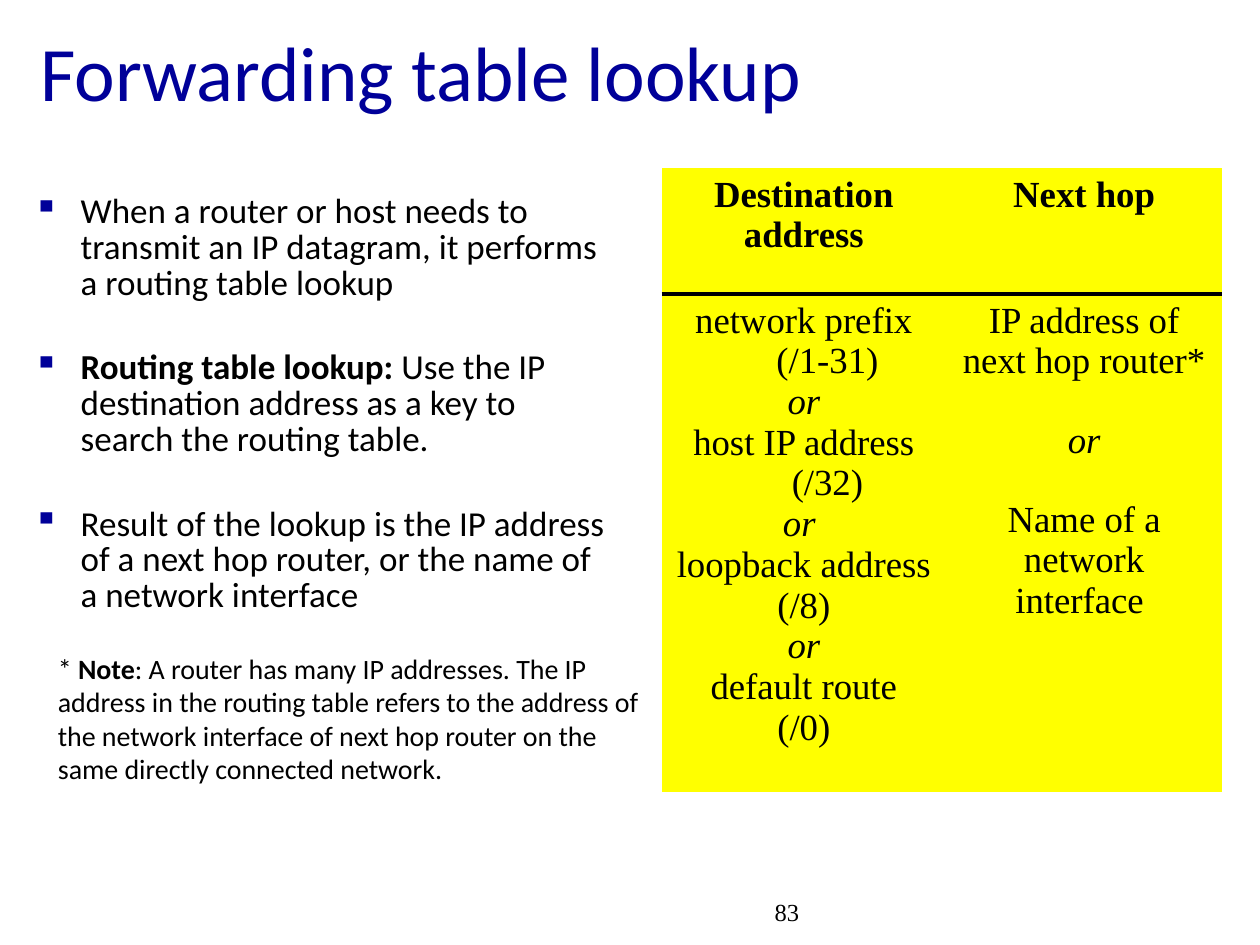
import pptx
import pptx.dml.color
import pptx.enum.text
import pptx.oxml
import pptx.oxml.ns
import pptx.util
from pptx.util import Pt

NAVY, BLACK, YELLOW = "000099", "000000", "FFFF00"
SANS, SERIF = "Calibri", "Times New Roman"
HANGING = 27
PLAIN_TABLE_STYLE = "{2D5ABB26-0587-4C30-8999-92F81FD0307C}"

BULLETS = [
    [("When a router or host needs to transmit an IP datagram, it performs "
      "a routing table lookup", False)],
    [("Routing table lookup:", True),
     (" Use the IP destination address as a key to search the routing table.", False)],
    [("Result of the lookup is the IP address of a next hop router, or the name "
      "of a network interface", False)],
]
NOTE = [
    ("* ", False),
    ("Note", True),
    (": A router has many IP addresses. The IP address in the routing table refers "
     "to the address of the network interface of next hop router on the same "
     "directly connected network.", False),
]
DESTINATIONS = ["network prefix (/1-31)", "or", "host IP address (/32)", "or ",
                "loopback address", "(/8)", "or", "default route", "(/0)"]
NEXT_HOPS = ["IP address of next hop router*", "or", "Name of a network interface "]


def color(hex_string):
    return pptx.dml.color.RGBColor.from_string(hex_string)


def set_font(paragraph, name, size, hex_string=BLACK):
    font = paragraph.font
    font.name, font.size = name, Pt(size)
    font.color.rgb = color(hex_string)


def set_indent(paragraph):
    """Hang the first line to the left of the others."""
    properties = paragraph._p.get_or_add_pPr()
    properties.set("marL", str(Pt(HANGING)))
    properties.set("indent", str(-Pt(HANGING)))
    return properties


def set_bullet(paragraph):
    namespace = pptx.oxml.ns.nsdecls("a")
    properties = set_indent(paragraph)
    properties.append(pptx.oxml.parse_xml(
        f'<a:buClr {namespace}><a:srgbClr val="{NAVY}"/></a:buClr>'))
    properties.append(pptx.oxml.parse_xml(f'<a:buChar {namespace} char="▪"/>'))


def add_runs(paragraph, runs):
    for text, bold in runs:
        run = paragraph.add_run()
        run.text = text
        if bold:
            run.font.bold = True


def add_text_frame(slide, left, top, width, height):
    box = slide.shapes.add_textbox(Pt(left), Pt(top), Pt(width), Pt(height))
    box.text_frame.word_wrap = True
    return box.text_frame


def add_line(slide, bounds, runs, name, size, hex_string=BLACK):
    """Add a text box of one paragraph."""
    frame = add_text_frame(slide, *bounds)
    paragraph = frame.paragraphs[0]
    add_runs(paragraph, runs)
    set_font(paragraph, name, size, hex_string)
    return frame


def add_bullets(slide, bounds, items):
    frame = add_text_frame(slide, *bounds)
    for index, runs in enumerate(items):
        paragraph = frame.add_paragraph() if index else frame.paragraphs[0]
        set_bullet(paragraph)
        paragraph.line_spacing = 0.85
        if index:
            paragraph.space_before = Pt(28)
        add_runs(paragraph, runs)
        set_font(paragraph, SANS, 20)


def fill_cell(cell, lines, bold=False, hanging=False, gap=0):
    cell.fill.solid()
    cell.fill.fore_color.rgb = color(YELLOW)
    frame = cell.text_frame
    for index, text in enumerate(lines):
        paragraph = frame.add_paragraph() if index else frame.paragraphs[0]
        paragraph.text = text
        paragraph.alignment = pptx.enum.text.PP_ALIGN.CENTER
        if hanging:
            set_indent(paragraph)
        if index and gap:
            paragraph.space_before = Pt(gap)
        set_font(paragraph, SERIF, 21)
        paragraph.font.bold = bold
        paragraph.font.italic = text.strip() == "or"


def set_border(cell, side):
    cell._tc.get_or_add_tcPr().insert(0, pptx.oxml.parse_xml(
        f'<a:ln{side} {pptx.oxml.ns.nsdecls("a")} w="{Pt(2)}"><a:solidFill>'
        f'<a:srgbClr val="{BLACK}"/></a:solidFill></a:ln{side}>'))


def add_forwarding_table(slide):
    frame = slide.shapes.add_table(2, 2, Pt(378), Pt(96), Pt(320.4), Pt(356.4))
    table = frame.table
    table.first_row = table.horz_banding = False
    style = table._tbl.tblPr.find(pptx.oxml.ns.qn("a:tableStyleId"))
    style.text = PLAIN_TABLE_STYLE
    for column, width in zip(table.columns, (162.7, 157.7)):
        column.width = Pt(width)
    for row, height in zip(table.rows, (72, 284.4)):
        row.height = Pt(height)
    fill_cell(table.cell(0, 0), ["Destination address"], bold=True)
    fill_cell(table.cell(0, 1), ["Next hop"], bold=True, hanging=True)
    fill_cell(table.cell(1, 0), DESTINATIONS, hanging=True)
    fill_cell(table.cell(1, 1), NEXT_HOPS, gap=22)
    for column in range(2):
        set_border(table.cell(0, column), "B")
        set_border(table.cell(1, column), "T")


def main():
    presentation = pptx.Presentation()
    presentation.slide_width, presentation.slide_height = Pt(720), Pt(540)
    slide = presentation.slides.add_slide(presentation.slide_layouts[6])
    add_line(slide, (435.6, 509, 228, 22), [("83", False)], SERIF, 14)
    title = add_line(slide, (16, 18, 612, 44.6),
                     [("Forwarding table lookup", False)], SANS, 44, NAVY)
    title.vertical_anchor = pptx.enum.text.MSO_ANCHOR.MIDDLE
    add_bullets(slide, (12, 108, 342, 300), BULLETS)
    add_forwarding_table(slide)
    add_line(slide, (26, 368.6, 352, 85), NOTE, SANS, 16)
    presentation.save("out.pptx")


if __name__ == "__main__":
    main()
